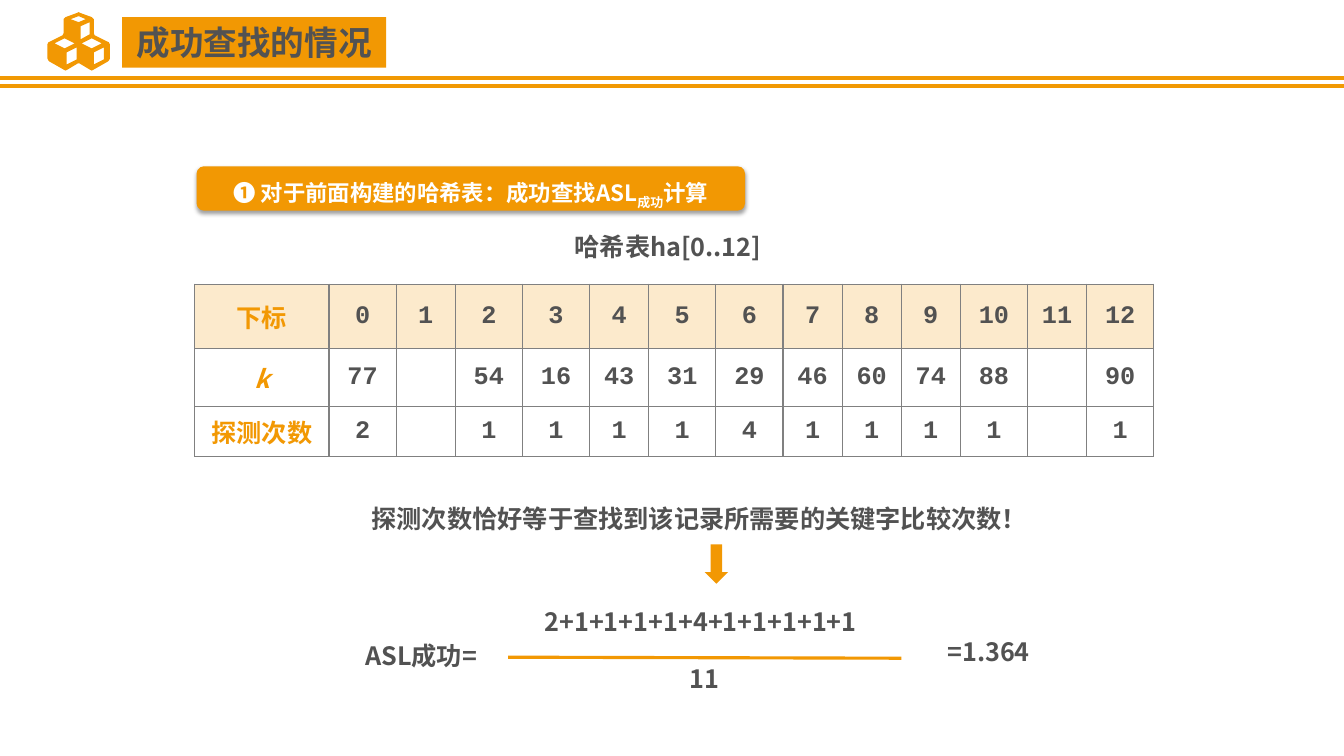
from lxml import etree
from pptx import Presentation, util as u
from pptx.dml.color import RGBColor
from pptx.enum import shapes, text
from pptx.oxml import parse_xml
from pptx.oxml.ns import nsdecls, qn

ORANGE, GREY, WHITE, BORDER = "F29803", "525252", "FFFFFF", "808080"
SANS, MONO = "Noto Sans CJK SC", "Courier New"
colour = RGBColor.from_string

deck = Presentation()
deck.slide_width, deck.slide_height = u.Inches(13.33), u.Inches(7.5)
W, H = deck.slide_width, deck.slide_height
slide = deck.slides.add_slide(deck.slide_layouts[6])
canvas = slide.shapes


def area(x, y, w, h):
    """Turn percentages of the slide's width and height into lengths."""
    return [round(share * side / 100) for share, side in zip((x, y, w, h), (W, H, W, H))]


def write(paragraph, words, size=18, ink=GREY, face=SANS, italic=False, baseline=0):
    paragraph.alignment = text.PP_ALIGN.CENTER
    run = paragraph.add_run()
    run.text = words
    font = run.font
    font.size, font.bold, font.italic, font.name = u.Pt(size), True, italic, face
    font.color.rgb = colour(ink)
    run_format = run._r.get_or_add_rPr()
    etree.SubElement(run_format, qn("a:ea"), typeface=face)
    if baseline:
        run_format.set("baseline", str(baseline * 1000))
    return run


# Header rules and the fraction bar
for x1, y1, x2, y2, tint, weight in (
    (0, 10.27, 100, 10.27, "F19903", 3),
    (0, 11.33, 100, 11.33, "F19903", 3),
    (37.81, 86.93, 67.07, 87.07, ORANGE, 2.25),
):
    rule = canvas.add_connector(shapes.MSO_CONNECTOR.STRAIGHT, *area(x1, y1, x2, y2))
    rule.line.color.rgb = colour(tint)
    rule.line.width = u.Pt(weight)
    etree.SubElement(rule._element.spPr, qn("a:effectLst"))

# Three stacked cubes, in hundredths of an inch; the outline is symmetric
axis = 78
right_half = [(78, 12), (80, 13), (91, 17), (93, 19), (93, 21), (93, 33), (94, 35),
              (106, 41), (108, 42), (109, 44), (109, 58), (108, 60), (107, 61),
              (93, 69), (91, 70), (89, 69), (79, 63)]
left_half = [(2 * axis - x, y) for x, y in reversed(right_half[1:])]
contours = [
    right_half + left_half,
    [(70, 19), (78, 16), (85, 19), (78, 22)],
    [(89, 22), (89, 34), (80, 39), (80, 26)],
]
for cube_left in (54, 81):
    contours.append([(cube_left + dx, 43 + dy) for dx, dy in ((0, 0), (10, -5), (20, 0), (10, 5))])
    contours.append([(cube_left + dx, y) for dx, y in ((22, 47), (22, 59), (12, 64), (12, 52))])
outline = canvas.build_freeform(*contours[0][0], scale=W / 1333)
for number, contour in enumerate(contours):
    if number:
        outline.move_to(*contour[0])
    outline.add_line_segments(contour[1:], close=True)
cubes = outline.convert_to_shape()

# Filled shapes
preset = shapes.MSO_SHAPE
title = canvas.add_shape(preset.RECTANGLE, *area(9.08, 2.27, 19.65, 6.67))
banner = canvas.add_shape(preset.ROUNDED_RECTANGLE, *area(14.63, 22, 40.81, 5.87))
arrow = canvas.add_shape(preset.DOWN_ARROW, *area(52.44, 72, 1.73, 5.2))
for block in (cubes, title, banner, arrow):
    block.shadow.inherit = False
    block.fill.solid()
    block.fill.fore_color.rgb = colour(ORANGE)
    block.line.fill.background()

title.text_frame.word_wrap = False
heading = write(title.text_frame.paragraphs[0], "成功查找的情况", size=24)
heading._r.rPr.insert(0, parse_xml(
    f'<a:ln {nsdecls("a")} w="9525"><a:solidFill><a:srgbClr val="{WHITE}"/></a:solidFill></a:ln>'))

banner.text_frame.vertical_anchor = text.MSO_ANCHOR.TOP
banner_line = banner.text_frame.paragraphs[0]
banner_line.line_spacing = 1.2
for words, baseline in (("❶ 对于前面构建的哈希表：成功查找ASL", 0), ("成功", -25), ("计算", 0)):
    write(banner_line, words, size=16, ink=WHITE, baseline=baseline)
effects = banner._element.spPr.find(qn("a:effectLst"))
effects.append(parse_xml(
    f'<a:outerShdw {nsdecls("a")} blurRad="{u.Pt(3.1)}" dist="{u.Pt(1.6)}" dir="5400000" '
    'rotWithShape="0"><a:srgbClr val="000000"><a:alpha val="38000"/></a:srgbClr></a:outerShdw>'))

# Hash table: label column, then one column per slot
hash_rows = [
    ["下标", *map(str, range(13))],
    ["k", "77", "", "54", "16", "43", "31", "29", "46", "60", "74", "88", "", "90"],
    ["探测次数", "2", "", "1", "1", "1", "1", "4", "1", "1", "1", "1", "", "1"],
]
narrow_slots = {1, 4, 7, 8, 9, 11}
column_shares = [10] + [4.4 if slot in narrow_slots else 5 for slot in range(13)]
row_shares = [8.53, 7.6, 6.67]
hash_table = canvas.add_table(
    len(hash_rows), len(column_shares),
    *area(14.48, 37.6, sum(column_shares), sum(row_shares))).table
for column, share in zip(hash_table.columns, column_shares):
    column.width = round(W * share / 100)
for row, share in zip(hash_table.rows, row_shares):
    row.height = round(H * share / 100)
for r, entries in enumerate(hash_rows):
    for c, entry in enumerate(entries):
        cell = hash_table.cell(r, c)
        cell.vertical_anchor = text.MSO_ANCHOR.MIDDLE
        cell_format = cell._tc.get_or_add_tcPr()
        for side in "LRTB":
            cell_format.append(parse_xml(
                f'<a:ln{side} {nsdecls("a")} w="12700"><a:solidFill>'
                f'<a:srgbClr val="{BORDER}"/></a:solidFill></a:ln{side}>'))
        if r == 0:
            cell.fill.solid()
            cell.fill.fore_color.rgb = colour(ORANGE)
            tint = cell_format.find(qn("a:solidFill")).find(qn("a:srgbClr"))
            etree.SubElement(tint, qn("a:alpha"), val="20000")
        else:
            cell.fill.background()
        if entry:
            write(cell.text_frame.paragraphs[0], entry, ink=GREY if c else ORANGE,
                  face=MONO if c else SANS, italic=entry == "k")

# Caption, remark and the parts of the formula
for words, x, y, width in (
    ("哈希表ha[0..12]", 38.86, 30, 21.68),
    ("探测次数恰好等于查找到该记录所需要的关键字比较次数！", 25.21, 65.87, 53.64),
    ("ASL成功=", 23.71, 84, 15.23),
    ("2+1+1+1+1+4+1+1+1+1+1", 36.61, 79.6, 31.06),
    ("11", 48.31, 87.07, 8.18),
    ("=1.364", 68.27, 83.47, 10.58),
):
    label = canvas.add_textbox(*area(x, y, width, 5.33)).text_frame
    label.word_wrap = True
    write(label.paragraphs[0], words)

deck.save("out.pptx")
